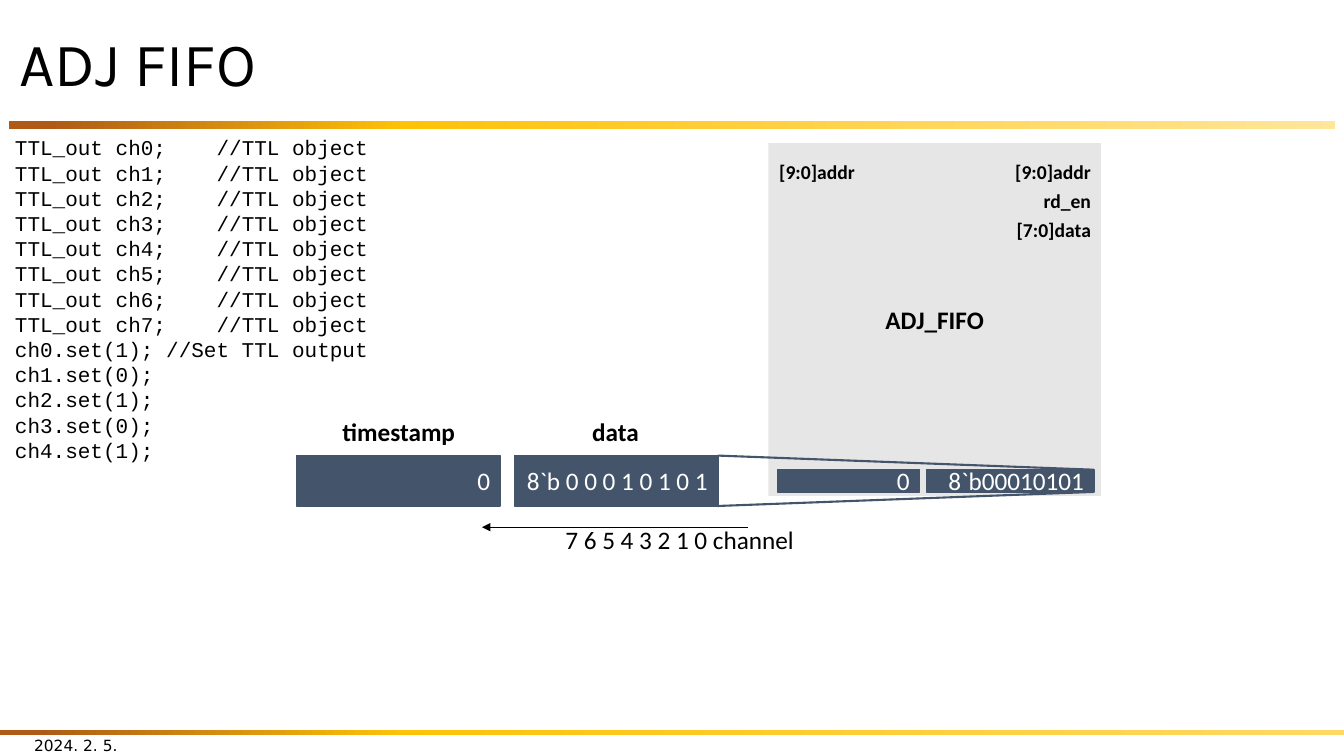
from collections import namedtuple

from lxml.etree import SubElement
from pptx import Presentation
from pptx.dml.color import RGBColor
from pptx.enum.shapes import MSO_CONNECTOR as Connector, MSO_SHAPE as Shape
from pptx.enum.text import MSO_ANCHOR as Anchor, PP_ALIGN as Align
from pptx.oxml.ns import qn
from pptx.util import Inches, Pt

BLACK = RGBColor(0x00, 0x00, 0x00)
WHITE = RGBColor(0xFF, 0xFF, 0xFF)
SLATE = RGBColor(0x44, 0x54, 0x6A)
LIGHT_GRAY = RGBColor(0xE7, 0xE6, 0xE6)
BROWN = RGBColor(0xB0, 0x5A, 0x16)
GOLD = RGBColor(0xFF, 0xC2, 0x08)
PALE_GOLD = RGBColor(0xFF, 0xE6, 0x99)
SOFT_GOLD = RGBColor(0xFF, 0xD9, 0x66)

Box = namedtuple("Box", "left top width height")
SLIDE = Box(0, 0, 13.33, 7.5)
CODE = [f"TTL_out ch{channel};\t//TTL object" for channel in range(8)] + [
    "ch0.set(1);\t//Set TTL output",
    "ch1.set(0);",
    "ch2.set(1);",
    "ch3.set(0);",
    "ch4.set(1);",
]


def inside(box, left, top, width, height):
    """Return a box offset from the corner of another one."""
    return Box(box.left + left, box.top + top, width, height)


def write(shape, lines, align=Align.LEFT, anchor=Anchor.MIDDLE, wrap=True,
          spacing=None, color=BLACK, **font):
    frame = shape.text_frame
    frame.word_wrap = wrap
    frame.vertical_anchor = anchor
    formats = {"name": "Calibri", "size": 18, "bold": False, **font}
    formats["size"] = Pt(formats["size"])
    for index, line in enumerate(lines):
        para = frame.add_paragraph() if index else frame.paragraphs[0]
        para.alignment = align
        para.line_spacing = spacing
        span = para.add_run()
        span.text = line
        span.font.color.rgb = color
        for name, value in formats.items():
            setattr(span.font, name, value)


def add_text(page, box, *lines, **style):
    shape = page.shapes.add_textbox(*map(Inches, box))
    write(shape, lines, **style)


def add_block(page, box, fill, line=None):
    block = page.shapes.add_shape(Shape.RECTANGLE, *map(Inches, box))
    block.shadow.inherit = False
    block.fill.solid()
    block.fill.fore_color.rgb = fill
    if line is None:
        block.line.fill.background()
    else:
        block.line.color.rgb = line
        block.line.width = Pt(1)
    return block


def add_line(page, start, end, color, width, arrow=False):
    ends = map(Inches, (*start, *end))
    line = page.shapes.add_connector(Connector.STRAIGHT, *ends)
    line.line.color.rgb = color
    line.line.width = Pt(width)
    properties = line._element.spPr
    if arrow:
        SubElement(properties.find(qn("a:ln")), qn("a:tailEnd"), type="triangle")
    SubElement(properties, qn("a:effectLst"))


def add_gradient_bar(page, box, end_color):
    bar = add_block(page, box, GOLD)
    bar.fill.gradient()
    bar.fill.gradient_angle = 0
    stops = bar._element.spPr.find(qn("a:gradFill")).find(qn("a:gsLst"))
    for stop in list(stops):
        stops.remove(stop)
    for percent, color in ((3, BROWN), (30, GOLD), (100, end_color)):
        stop = SubElement(stops, qn("a:gs"), pos=str(percent * 1000))
        SubElement(stop, qn("a:srgbClr"), val=str(color))


def add_header(page, box):
    add_gradient_bar(page, inside(box, 0, 1.03, box.width, 0.08), PALE_GOLD)
    add_text(page, inside(box, 0, 0, box.width, 0.98), "ADJ FIFO",
             name="Karla", size=44, spacing=0.9)


def add_footer(page, box):
    add_gradient_bar(page, inside(box, 0, 0.05, box.width, 0.05), SOFT_GOLD)
    add_text(page, inside(box, 0.24, 0, 3, 0.4), "2024. 2. 5.",
             name="DejaVu Sans", size=11)


def add_fifo_module(page, box):
    module = add_block(page, box, LIGHT_GRAY)
    write(module, ["ADJ_FIFO"], align=Align.CENTER, bold=True)
    ports = (
        ("[9:0]addr", 0, Align.LEFT),
        ("[9:0]addr", 0, Align.RIGHT),
        ("rd_en", 1, Align.RIGHT),
        ("[7:0]data", 2, Align.RIGHT),
    )
    width = 1.3
    for label, row, align in ports:
        left = box.width - width if align == Align.RIGHT else 0.01
        add_text(page, inside(box, left, 0.17 + row * 0.29, width, 0.22),
                 label, align=align, size=14, bold=True)


def add_word(page, box, data, split, gap):
    """Draw a timestamp cell of the width split, then a data cell."""
    rest = split + gap
    for text, left, width in (("0", 0, split), (data, rest, box.width - rest)):
        cell = add_block(page, inside(box, left, 0, width, box.height), SLATE, SLATE)
        write(cell, [text], align=Align.RIGHT, color=WHITE)


def add_large_word(page, box):
    for label, left, width in (("data", 2.83, 0.67), ("timestamp", 0.35, 1.33)):
        add_text(page, inside(box, left, -0.44, width, 0.4), label,
                 align=Align.CENTER, anchor=Anchor.TOP, wrap=False, bold=True)
    add_word(page, box, "8`b 0 0 0 1 0 1 0 1", 2.02, 0.14)
    arrow_y = box.top + 0.71
    add_line(page, (box.left + 4.48, arrow_y), (box.left + 1.84, arrow_y),
             BLACK, 0.5, arrow=True)
    add_text(page, inside(box, 2.57, 0.63, 2.5, 0.4), "7 6 5 4 3 2 1 0 channel",
             anchor=Anchor.TOP, wrap=False)


def add_zoom_lines(page, large, small):
    for share in (0, 1):
        start, end = ((box.left + box.width, box.top + share * box.height)
                      for box in (large, small))
        add_line(page, start, end, SLATE, 1.5)


def add_fifo_page(deck):
    page = deck.slides.add_slide(deck.slide_layouts[6])
    small_word = Box(7.71, 4.66, 3.14, 0.22)
    large_word = Box(2.94, 4.52, 4.18, 0.5)
    add_header(page, Box(0.09, 0.17, 13.15, 1.11))
    add_footer(page, Box(0, 7.19, SLIDE.width, 0.31))
    add_fifo_module(page, Box(7.62, 1.42, 3.3, 3.5))
    add_text(page, Box(0.05, 1.29, 9.49, 3.64), *CODE,
             anchor=Anchor.TOP, name="Courier New", size=15)
    add_word(page, small_word, "8`b00010101", 1.41, 0.07)
    add_large_word(page, large_word)
    add_zoom_lines(page, large_word, small_word)


def main():
    deck = Presentation()
    deck.slide_width = Inches(SLIDE.width)
    deck.slide_height = Inches(SLIDE.height)
    add_fifo_page(deck)
    deck.save("out.pptx")


if __name__ == "__main__":
    main()
